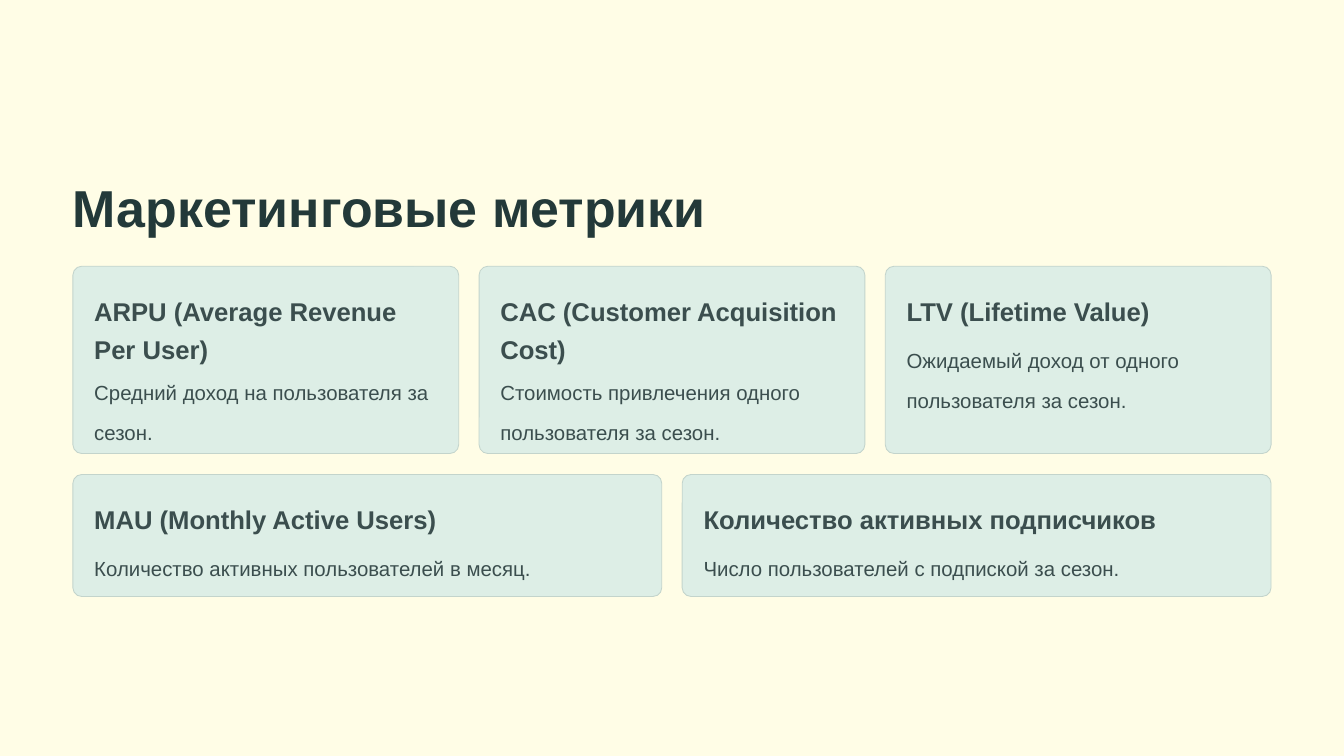
from dataclasses import dataclass

from pptx import Presentation
from pptx.dml.color import RGBColor
from pptx.enum.shapes import MSO_SHAPE
from pptx.enum.text import MSO_ANCHOR, MSO_AUTO_SIZE, PP_ALIGN
from pptx.util import Pt

ROUNDED = MSO_SHAPE.ROUNDED_RECTANGLE
TOP = MSO_ANCHOR.TOP
NO_AUTOFIT = MSO_AUTO_SIZE.NONE
LEFT = PP_ALIGN.LEFT
TITLE_ONLY = 5


@dataclass(frozen=True)
class TextStyle:
    size: float
    color: str
    bold: bool
    spacing: float


@dataclass(frozen=True)
class Theme:
    font: str = "Arial"
    background: str = "FFFDE6"
    card_fill: str = "DDEEE6"
    card_line: str = "C3D4CC"
    title: TextStyle = TextStyle(44.5, "233939", True, 1.25)
    heading: TextStyle = TextStyle(22, "3B4E4E", True, 1.25)
    body: TextStyle = TextStyle(17.5, "3B4E4E", False, 1.63)


MARGIN, CONTENT_WIDTH, GAP = 62.5, 1027, 17.5
PAD_X, PAD_Y = 18.25, 18.75
HEADING_LINE, BODY_LINE, HEADING_GAP = 27.75, 28.5, 10.5
CORNER = 7.5

# Each row: top, height, cards of (heading, heading lines, text, text lines)
METRIC_ROWS = [
    (228.25, 160.5, [
        ("ARPU (Average Revenue Per User)", 2,
         "Средний доход на пользователя за сезон.", 2),
        ("CAC (Customer Acquisition Cost)", 2,
         "Стоимость привлечения одного пользователя за сезон.", 2),
        ("LTV (Lifetime Value)", 1,
         "Ожидаемый доход от одного пользователя за сезон.", 2),
    ]),
    (406.75, 104.5, [
        ("MAU (Monthly Active Users)", 1,
         "Количество активных пользователей в месяц.", 1),
        ("Количество активных подписчиков", 1,
         "Число пользователей с подпиской за сезон.", 1),
    ]),
]


def set_all(target, values):
    for name, value in values.items():
        setattr(target, name, value)


class SlideBuilder:
    def __init__(self, slide, theme):
        self.slide = slide
        self.theme = theme

    def background(self):
        fill = self.slide.background.fill
        fill.solid()
        fill.fore_color.rgb = RGBColor.from_string(self.theme.background)

    def fill_text(self, holder, text, style):
        frame = holder.text_frame
        set_all(frame, {
            "margin_left": 0, "margin_top": 0,
            "margin_right": 0, "margin_bottom": 0,
            "word_wrap": True, "auto_size": NO_AUTOFIT,
            "vertical_anchor": TOP,
        })
        frame.text = text
        paragraph = frame.paragraphs[0]
        set_all(paragraph, {"alignment": LEFT, "line_spacing": style.spacing})
        font = paragraph.runs[0].font
        set_all(font, {"name": self.theme.font, "size": Pt(style.size),
                       "bold": style.bold})
        font.color.rgb = RGBColor.from_string(style.color)

    def title(self, text, left, top, width, height):
        title = self.slide.shapes.title
        set_all(title, {"left": Pt(left), "top": Pt(top),
                        "width": Pt(width), "height": Pt(height)})
        self.fill_text(title, text, self.theme.title)

    def text(self, text, style, left, top, width, height):
        box = self.slide.shapes.add_textbox(
            Pt(left), Pt(top), Pt(width), Pt(height))
        self.fill_text(box, text, style)

    def panel(self, left, top, width, height):
        panel = self.slide.shapes.add_shape(
            ROUNDED, Pt(left), Pt(top), Pt(width), Pt(height))
        panel.adjustments[0] = CORNER / height
        panel.shadow.inherit = False
        panel.fill.solid()
        panel.fill.fore_color.rgb = RGBColor.from_string(self.theme.card_fill)
        panel.line.color.rgb = RGBColor.from_string(self.theme.card_line)
        panel.line.width = Pt(0.75)

    def card(self, metric, left, top, width, height):
        heading, heading_lines, description, description_lines = metric
        self.panel(left, top, width, height)
        text_left, text_width = left + PAD_X, width - 2 * PAD_X
        heading_top = top + PAD_Y
        heading_height = heading_lines * HEADING_LINE
        self.text(heading, self.theme.heading,
                  text_left, heading_top, text_width, heading_height)
        self.text(description, self.theme.body, text_left,
                  heading_top + heading_height + HEADING_GAP,
                  text_width, description_lines * BODY_LINE)

    def card_row(self, top, height, metrics):
        """Share the content width equally among the metrics."""
        count = len(metrics)
        width = (CONTENT_WIDTH - GAP * (count - 1)) / count
        for column, metric in enumerate(metrics):
            self.card(metric, MARGIN + column * (width + GAP),
                      top, width, height)


def main():
    presentation = Presentation()
    set_all(presentation, {"slide_width": Pt(1152), "slide_height": Pt(648)})
    slide = presentation.slides.add_slide(
        presentation.slide_layouts[TITLE_ONLY])
    builder = SlideBuilder(slide, Theme())
    builder.background()
    builder.title("Маркетинговые метрики", MARGIN, 136.75, CONTENT_WIDTH, 56)
    for top, height, metrics in METRIC_ROWS:
        builder.card_row(top, height, metrics)
    presentation.save("out.pptx")


if __name__ == "__main__":
    main()
